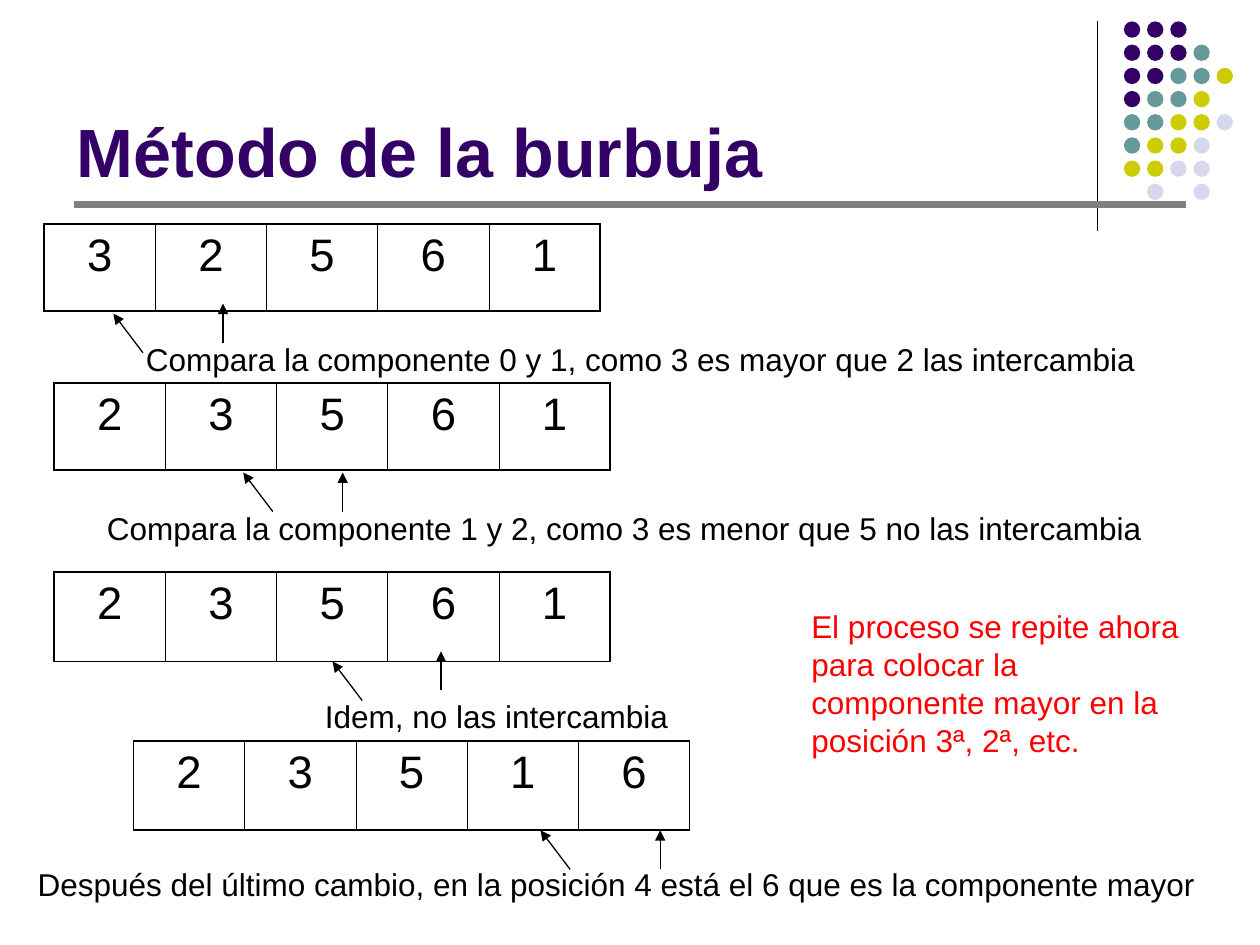
from lxml.etree import SubElement
from pptx import Presentation
from pptx.dml.color import RGBColor
from pptx.enum.shapes import MSO_CONNECTOR as Conn, MSO_SHAPE as Shape
from pptx.enum.text import MSO_ANCHOR as Anchor, PP_ALIGN as Align
from pptx.oxml import parse_xml
from pptx.oxml.ns import nsdecls, qn
from pptx.util import Inches, Pt

BLACK, RED, GRAY, PURPLE = "000000", "FF0000", "808080", "330066"
DOT_COLORS = {"P": PURPLE, "T": "669999", "Y": "CCCC00", "L": "D8D8EC"}
DOT_ROWS = ["PPP", "PPPT", "PPTTY", "PTTY", "TTYYL", "TYYL", "YYLL", ".L.L"]

# Each step: array (left, top, height), values, caption (left, top, width), text,
# then the tips of the slanted and the upright arrow.
STEPS = [
    ((3.5, 17.8, 6.9), "32561", (10.6, 26.5, 84.3),
     "Compara la componente 0 y 1, como 3 es mayor que 2 las intercambia",
     (9, 24.9), (17.7, 24.1)),
    ((4.3, 30.4, 6.9), "23561", (7.5, 39.9, 84.3),
     "Compara la componente 1 y 2, como 3 es menor que 5 no las intercambia",
     (19.3, 37.5), (27.2, 37.5)),
    ((4.3, 45.4, 7.1), "23561", (24.8, 54.8, 33.1),
     "Idem, no las intercambia",
     (26.4, 52.5), (35, 51.7)),
    ((10.6, 58.8, 7.1), "23516", (2, 68.2, 94.5),
     "Después del último cambio, en la posición 4 está el 6 que es la componente mayor",
     (42.9, 65.9), (52.4, 65.9)),
]


def rgb(color):
    return RGBColor.from_string(color)


class Canvas:
    """Style and current slide; lengths are units of a 100 by 75 grid."""
    font = "Arial"
    cell_width = 8.83
    arrow_rise = 3.1
    arrow_lean = 2.35

    def __init__(self, prs):
        self.unit = prs.slide_width / 100
        self.slide = prs.slides.add_slide(prs.slide_layouts[5])
        self.shapes = self.slide.shapes

    def grid(self, *lengths):
        return [round(n * self.unit) for n in lengths]

    def add_text(self, tf, text, size, color, bold=False, align=Align.LEFT):
        p = tf.paragraphs[0]
        p.alignment = align
        r = p.add_run()
        r.text = text
        r.font.name, r.font.size, r.font.bold = self.font, Pt(size), bold
        r.font.color.rgb = rgb(color)

    def title(self, box, text):
        sp = self.shapes.title
        sp.left, sp.top, sp.width, sp.height = self.grid(*box)
        sp.text_frame.vertical_anchor = Anchor.BOTTOM
        self.add_text(sp.text_frame, text, 39, PURPLE, bold=True)

    def text(self, box, text, color=BLACK):
        tf = self.shapes.add_textbox(*self.grid(*box)).text_frame
        tf.word_wrap = True
        self.add_text(tf, text, 18, color)

    def line(self, start, end, color=BLACK, width=0.75, arrow=False):
        s = self.shapes.add_connector(Conn.STRAIGHT, *self.grid(*start, *end))
        s.line.color.rgb = rgb(color)
        s.line.width = Pt(width)
        if arrow:
            SubElement(s.line._get_or_add_ln(), qn("a:tailEnd"), type="triangle")
        SubElement(s._element.spPr, qn("a:effectLst"))

    def arrow(self, tip, lean=0):
        x, y = tip
        self.line((x + lean, y + self.arrow_rise), tip, arrow=True)

    def dots(self, left, top, pitch, size):
        for row, codes in enumerate(DOT_ROWS):
            for col, code in enumerate(codes):
                if code not in DOT_COLORS:
                    continue
                box = self.grid(left + col * pitch, top + row * pitch, size, size)
                s = self.shapes.add_shape(Shape.OVAL, *box)
                s.shadow.inherit = False
                s.fill.solid()
                s.fill.fore_color.rgb = rgb(DOT_COLORS[code])
                s.line.fill.background()

    def borders(self, cell, first, last):
        """Thick lines around the array, thin ones between its cells."""
        thin, thick = Pt(0.45), Pt(1.08)
        widths = {"L": thick if first else thin, "R": thick if last else thin,
                  "T": thick, "B": thick}
        tc_pr = cell._tc.get_or_add_tcPr()
        for i, (side, width) in enumerate(widths.items()):
            tc_pr.insert(i, parse_xml(
                f'<a:ln{side} {nsdecls("a")} w="{width}"><a:solidFill>'
                f'<a:srgbClr val="{BLACK}"/></a:solidFill></a:ln{side}>'))

    def array(self, box, values):
        left, top, height = box
        count = len(values)
        frame = self.grid(left, top, count * self.cell_width, height)
        table = self.shapes.add_table(1, count, *frame).table
        table.first_row = table.horz_banding = False
        for i, value in enumerate(values):
            table.columns[i].width = self.grid(self.cell_width)[0]
            cell = table.cell(0, i)
            cell.fill.background()
            self.borders(cell, i == 0, i == count - 1)
            self.add_text(cell.text_frame, value, 26, BLACK, align=Align.CENTER)


def main():
    prs = Presentation()
    prs.slide_width, prs.slide_height = Inches(10), Inches(7.5)
    c = Canvas(prs)
    c.line((87.1, 1.7), (87.1, 18.3))
    c.dots(89.2, 1.7, 1.84, 1.3)
    c.line((5.9, 16.2), (94.1, 16.2), GRAY, 4)
    c.title((5.1, 0, 82.5, 15.7), "Método de la burbuja")
    for array, values, (left, top, width), caption, slanted, upright in STEPS:
        c.array(array, values)
        c.text((left, top, width, 4), caption)
        c.arrow(slanted, c.arrow_lean)
        c.arrow(upright)
    c.text((63.4, 47.7, 31.5, 13),
           "El proceso se repite ahora para colocar la componente mayor "
           "en la posición 3ª, 2ª, etc.", RED)
    prs.save("out.pptx")


if __name__ == "__main__":
    main()
